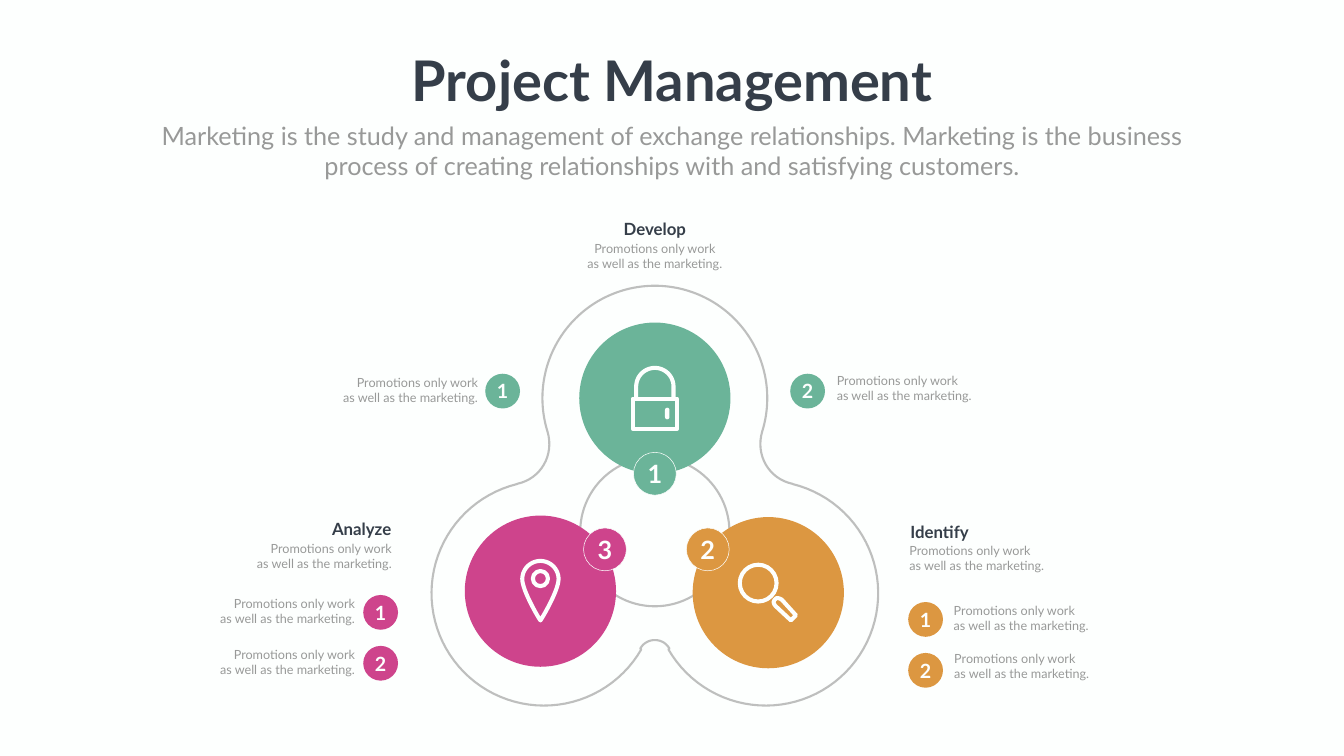
import math
import pptx
import pptx.util
import pptx.dml.color
import pptx.enum.shapes
import pptx.enum.text
from lxml import etree

RGB = pptx.dml.color.RGBColor
WHITE = RGB(0xFD, 0xFF, 0xFE)
DARK = RGB(0x35, 0x3E, 0x49)
GREY = RGB(0x98, 0x99, 0x98)
RING = RGB(0x80, 0x80, 0x80)
GREEN = RGB(0x6B, 0xB4, 0x99)
AMBER = RGB(0xDC, 0x97, 0x41)
PINK = RGB(0xCE, 0x44, 0x8C)

LEFT = pptx.enum.text.PP_ALIGN.LEFT
MID = pptx.enum.text.PP_ALIGN.CENTER
RIGHT = pptx.enum.text.PP_ALIGN.RIGHT
KIND = pptx.enum.shapes.MSO_SHAPE
FONT = "Lato"
AXIS = 12.99  # line of symmetry, in inches like all positions
STROKE = 5.8

TITLE = "Project Management"
INTRO = ("Marketing is the study and management of exchange relationships. "
         "Marketing is the business process of creating relationships with "
         "and satisfying customers.")
NOTE = ("Promotions only work", "as well as the marketing.")

# centre x, centre y, colour
DISCS = [(AXIS, 7.9, GREEN), (15.24, 11.76, AMBER), (10.72, 11.73, PINK)]
# number, centre x, centre y, colour
BADGES = [("1", AXIS, 9.4, GREEN), ("2", 14.04, 10.9, AMBER), ("3", 12, 10.9, PINK)]
DOTS = [("1", 9.97, 7.76, GREEN), ("2", 16.02, 7.76, GREEN),
        ("1", 18.36, 12.29, AMBER), ("2", 18.36, 13.3, AMBER),
        ("1", 7.55, 12.15, PINK), ("2", 7.55, 13.16, PINK)]
# text, left, top, alignment
HEADS = [("Develop", 11.98, 4.29, MID), ("Identify", 17.96, 10.3, LEFT),
         ("Analyze", 5.84, 10.25, RIGHT)]
# left, top, alignment
NOTES = [(11.43, 4.73, MID), (17.94, 10.73, LEFT), (16.5, 7.34, LEFT),
         (18.82, 11.91, LEFT), (18.83, 12.87, LEFT), (4.75, 10.68, RIGHT),
         (6.46, 7.39, RIGHT), (4.02, 11.78, RIGHT), (4.02, 12.79, RIGHT)]


def inch(size):
    return pptx.util.Cm(size * 2.54)


def arc(x, y, r, start, end, steps=60):
    angles = [math.radians(start + (end - start) * i / steps) for i in range(steps + 1)]
    return [(x + r * math.cos(a), y + r * math.sin(a)) for a in angles]


def curve(a, b, c, d, steps=16):
    """Points along a cubic Bezier curve."""
    pts = []
    for i in range(steps + 1):
        t = i / steps
        u = 1 - t
        mix = (u ** 3, 3 * u * u * t, 3 * u * t * t, t ** 3)
        pts.append(tuple(sum(m * p[k] for m, p in zip(mix, (a, b, c, d))) for k in (0, 1)))
    return pts


def mirror(pts, axis):
    """Add the reflection of a half outline, in reverse order."""
    return pts + [(2 * axis - x, y) for x, y in reversed(pts)]


def paint(shape, fill=None, line=None, width=0.75, alpha=None):
    shape.shadow.inherit = False
    if fill is None:
        shape.fill.background()
    else:
        shape.fill.solid()
        shape.fill.fore_color.rgb = fill
    if line is None:
        shape.line.fill.background()
        return
    shape.line.color.rgb = line
    shape.line.width = pptx.util.Pt(width)
    if alpha:
        ns = pptx.oxml.ns.qn
        tone = shape.line._ln.find(".//" + ns("a:srgbClr"))
        etree.SubElement(tone, ns("a:alpha")).set("val", str(alpha * 1000))


def write(para, text, size, color, bold=False, align=MID):
    para.alignment = align
    run = para.add_run()
    run.text = text
    run.font.name = FONT
    run.font.size = pptx.util.Pt(size)
    run.font.bold = bold
    run.font.color.rgb = color


def block(kind, x, y, w, h, **look):
    shape = shapes.add_shape(kind, inch(x), inch(y), inch(w), inch(h))
    paint(shape, **look)
    return shape


def disc(x, y, size, **look):
    return block(KIND.OVAL, x - size / 2, y - size / 2, size, size, **look)


def count(text, x, y, size, points, **look):
    """Disc with a number in it."""
    frame = disc(x, y, size, **look).text_frame
    frame.margin_left = frame.margin_right = 0
    frame.margin_top = frame.margin_bottom = 0
    frame.word_wrap = False
    frame.vertical_anchor = pptx.enum.text.MSO_ANCHOR.MIDDLE
    write(frame.paragraphs[0], text, points, WHITE, True)


def trace(pts, close=True, **look):
    pts = [(inch(x), inch(y)) for x, y in pts]
    pen = shapes.build_freeform(*pts[0], scale=1.0)
    pen.add_line_segments(pts[1:], close=close)
    paint(pen.convert_to_shape(), **look)


def label(lines, x, y, w, h, size, color, bold=False, align=MID):
    frame = shapes.add_textbox(inch(x), inch(y), inch(w), inch(h)).text_frame
    frame.word_wrap = True
    for i, line in enumerate(lines):
        para = frame.add_paragraph() if i else frame.paragraphs[0]
        write(para, line, size, color, bold, align)


deck = pptx.Presentation()
deck.slide_width, deck.slide_height = inch(26.66), inch(15)
slide = deck.slides.add_slide(deck.slide_layouts[6])
slide.background.fill.solid()
slide.background.fill.fore_color.rgb = WHITE
shapes = slide.shapes

# Rings, discs and numbers
ring = dict(line=RING, width=3, alpha=50)
disc(AXIS, 10.55, 2.96, **ring)
for text, x, y, color in DOTS:
    count(text, x, y, 0.69, 28, fill=color)
half = (arc(AXIS, 7.9, 2.23, 270, 163)
        + curve((10.86, 8.56), (11, 9.03), (10.73, 9.5), (10.26, 9.6))
        + arc(10.79, 11.77, 2.23, 256, 30)
        + curve((12.7, 12.87), (12.77, 12.75), (12.88, 12.7), (AXIS, 12.7)))
trace(mirror(half, AXIS), **ring)
for x, y, color in DISCS:
    disc(x, y, 3, fill=color)
for text, x, y, color in BADGES:
    count(text, x, y, 0.85, 36, fill=color, line=WHITE)

# Icons
icon = dict(line=WHITE, width=STROKE)
disc(15.04, 11.57, 0.73, **icon)
trace([(15.69, 12.31)]
      + curve((15.39, 12.03), (15.33, 11.97), (15.34, 11.92), (15.38, 11.89))
      + curve((15.4, 11.87), (15.46, 11.86), (15.51, 11.9), (15.51, 11.9))
      + [(15.79, 12.21)], **icon)
pin = (curve((10.72, 12.31), (10.7, 12.29), (10.36, 11.72), (10.36, 11.49))
       + arc(10.72, 11.49, 0.36, 180, 270))
trace(mirror(pin, 10.72), **icon)
disc(10.72, 11.48, 0.3, **icon)
block(KIND.RECTANGLE, 12.55, 7.91, 0.88, 0.6, **icon)
trace([(12.62, 7.9)] + arc(AXIS, 7.67, 0.37, 180, 360) + [(13.36, 7.9)],
      close=False, **icon)
block(KIND.ROUNDED_RECTANGLE, 13.19, 8.09, 0.09, 0.23, fill=WHITE).adjustments[0] = 0.5

# Texts
for text, x, y, align in HEADS:
    label([text], x, y, 2.02, 0.5, 24, DARK, True, align)
for x, y, align in NOTES:
    label(NOTE, x, y, 3.12, 0.71, 18, GREY, align=align)
label([TITLE], 7.95, 0.85, 10.76, 1.45, 80, DARK, True)
label([INTRO], 2.92, 2.34, 20.82, 1.31, 36, GREY)

deck.save("out.pptx")
